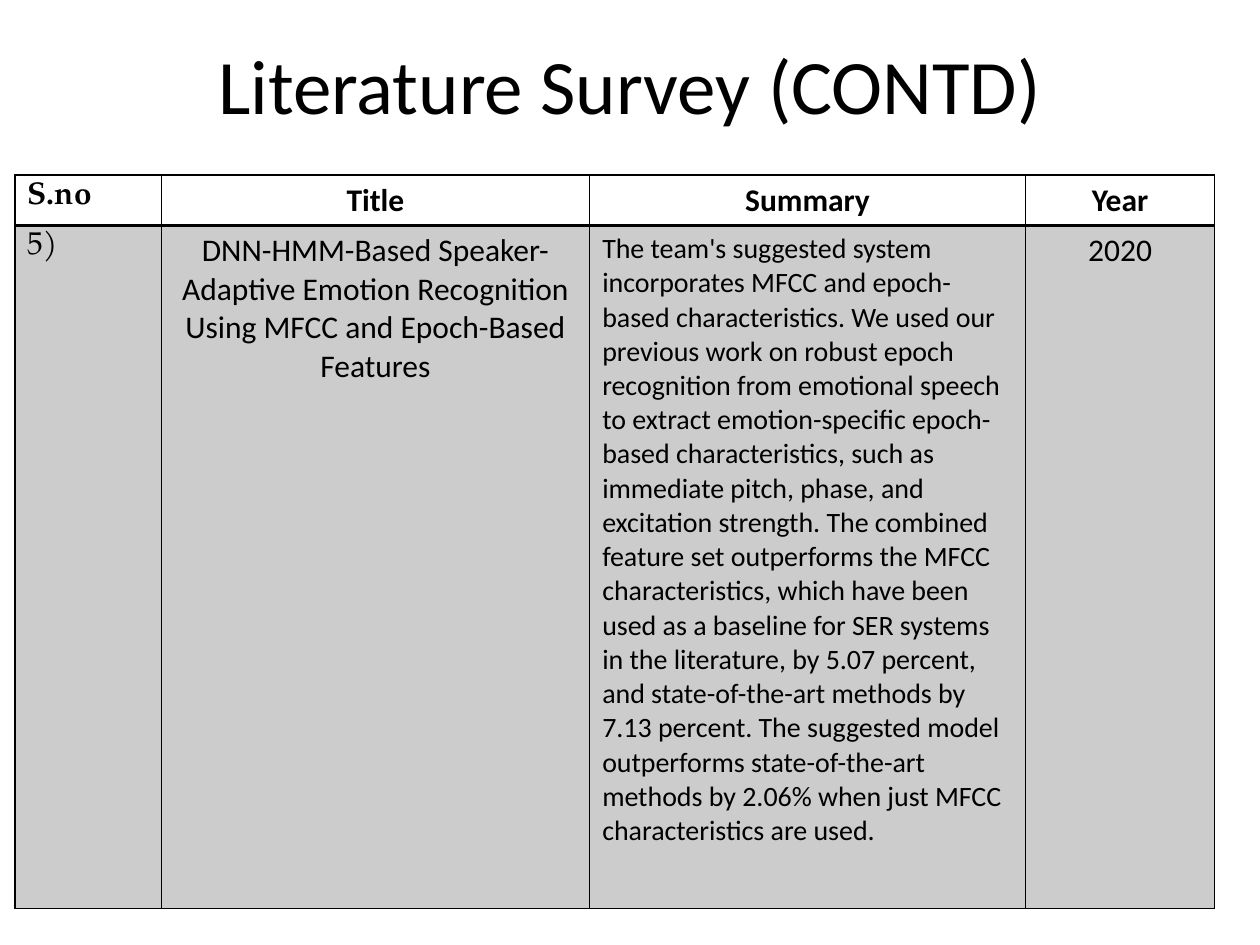
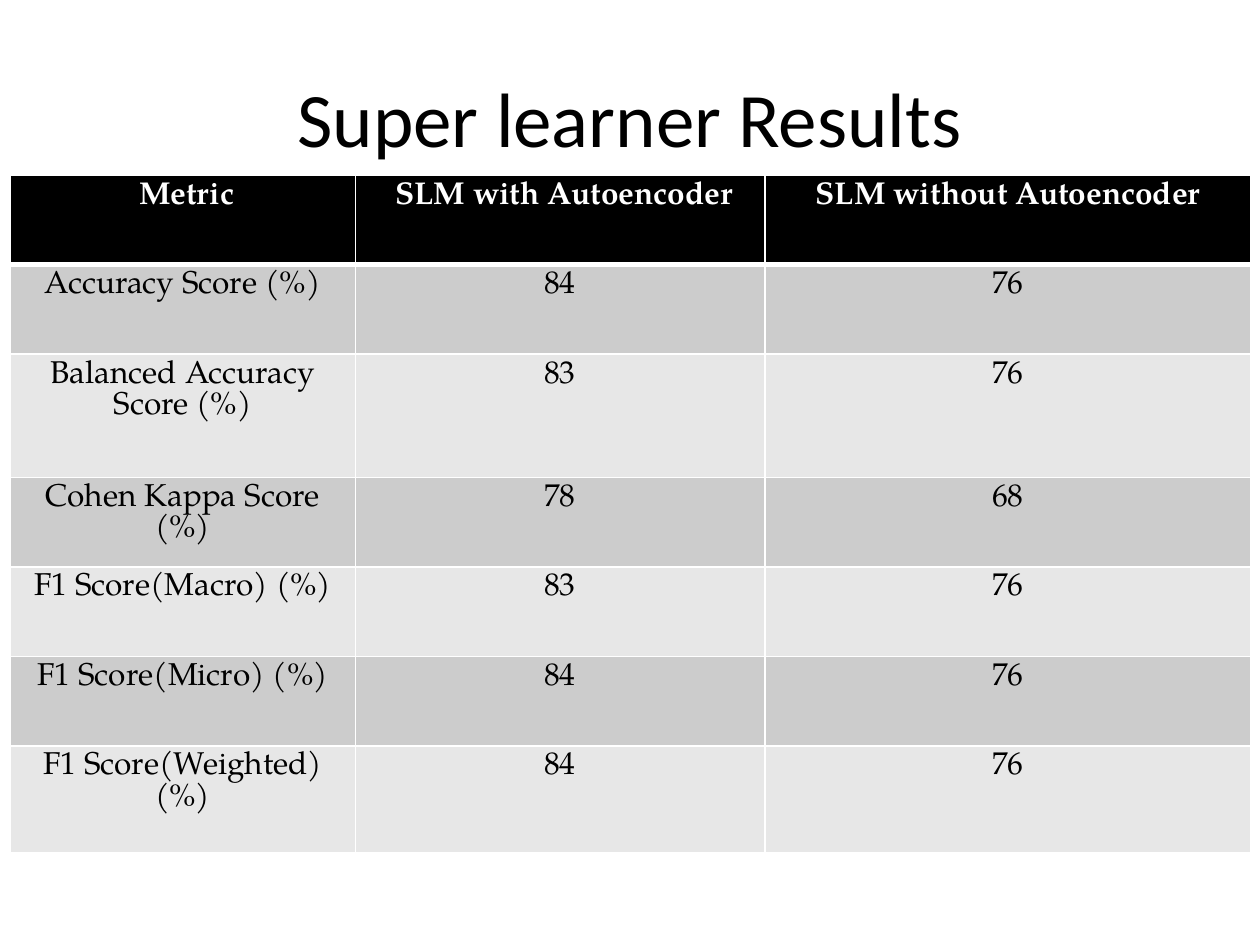
from dataclasses import dataclass

from lxml import etree
from pptx import Presentation
from pptx import util as u
from pptx.dml.color import RGBColor
from pptx.enum import text
from pptx.oxml import ns


@dataclass(frozen=True)
class Theme:
    black: str = "000000"
    white: str = "FFFFFF"
    dark_band: str = "CCCCCC"
    light_band: str = "E7E7E7"
    sans: str = "Calibri"
    serif: str = "TeX Gyre Pagella"
    title_size: int = 44
    body_size: int = 18
    small_size: int = 16
    serif_leading: int = 18
    thin: int = 1


class SlideBuilder:
    """Holds the deck, its theme and the slide being filled."""

    def __init__(self, theme):
        self.theme = theme
        self.deck = Presentation()
        self.deck.slide_width = u.Inches(10)
        self.deck.slide_height = u.Inches(7.5)
        self.page = None

    def start_slide(self, title, title_top):
        self.page = self.deck.slides.add_slide(self.deck.slide_layouts[6])
        box = self.page.shapes.add_textbox(
            u.Inches(0.5), u.Inches(title_top), u.Inches(9), u.Inches(1.25))
        frame = box.text_frame
        frame.word_wrap = True
        frame.vertical_anchor = text.MSO_ANCHOR.MIDDLE
        self.add_text(frame, title, size=self.theme.title_size)

    def add_text(self, frame, words, font=None, size=None, color=None,
                 bold=False, centered=True):
        font = font or self.theme.sans
        para = frame.paragraphs[0]
        para.alignment = text.PP_ALIGN.CENTER if centered else text.PP_ALIGN.LEFT
        if font == self.theme.serif:
            para.line_spacing = u.Pt(self.theme.serif_leading)
        span = para.add_run()
        span.text = words
        font_values = {"name": font, "bold": bold,
                       "size": u.Pt(size or self.theme.body_size)}
        for name, value in font_values.items():
            setattr(span.font, name, value)
        span.font.color.rgb = RGBColor.from_string(color or self.theme.black)

    def add_table(self, left, top, widths, heights):
        table = self.page.shapes.add_table(
            len(heights), len(widths), u.Inches(left), u.Inches(top),
            u.Inches(sum(widths)), u.Inches(sum(heights))).table
        for flag in ("first_row", "horz_banding"):
            setattr(table, flag, False)
        for column, width in zip(table.columns, widths):
            column.width = u.Inches(width)
        for row, height in zip(table.rows, heights):
            row.height = u.Inches(height)
        return table

    def add_borders(self, cell, color, widths):
        """Draw the cell's sides; widths are in points, keyed L, R, T, B."""
        properties = cell._tc.get_or_add_tcPr()
        for side, width in widths.items():
            line = etree.SubElement(properties, ns.qn(f"a:ln{side}"), w=str(u.Pt(width)))
            fill = etree.SubElement(line, ns.qn("a:solidFill"))
            etree.SubElement(fill, ns.qn("a:srgbClr"), val=color)

    def style_table(self, table, line_color, header_line, header_fill, bands):
        """Rule and fill the grid, with a heavier line below the header."""
        for index, row in enumerate(table.rows):
            widths = dict.fromkeys("LRTB", self.theme.thin)
            if index < 2:
                widths["B" if index == 0 else "T"] = header_line
            if index == 0:
                color = header_fill
            else:
                color = bands[(index - 1) % len(bands)]
            for cell in row.cells:
                self.add_borders(cell, line_color, widths)
                cell.fill.solid()
                cell.fill.fore_color.rgb = RGBColor.from_string(color)


def build_survey(builder):
    theme = builder.theme
    builder.start_slide("Literature Survey (CONTD)", 0.04)
    table = builder.add_table(0.12, 1.39, [1.16, 3.4, 3.46, 1.5], [0.4, 5.42])
    builder.style_table(table, theme.black, 2, theme.white, [theme.dark_band])

    # Header and the surveyed paper
    serif_left = {"font": theme.serif, "centered": False}
    summary = (
        "The team's suggested system incorporates MFCC and epoch-based "
        "characteristics. We used our previous work on robust epoch recognition "
        "from emotional speech to extract emotion-specific epoch-based "
        "characteristics, such as immediate pitch, phase, and excitation strength. "
        "The combined feature set outperforms the MFCC characteristics, which have "
        "been used as a baseline for SER systems in the literature, by 5.07 percent, "
        "and state-of-the-art methods by 7.13 percent. The suggested model "
        "outperforms state-of-the-art methods by 2.06% when just MFCC "
        "characteristics are used.")
    columns = [
        ("S.no", "5)", serif_left, serif_left),
        ("Title", "DNN-HMM-Based Speaker-Adaptive Emotion Recognition "
                  "Using MFCC and Epoch-Based Features", {}, {}),
        ("Summary", summary, {}, {"size": theme.small_size, "centered": False}),
        ("Year", "2020", {}, {}),
    ]
    for index, (heading, entry, heading_style, entry_style) in enumerate(columns):
        builder.add_text(table.cell(0, index).text_frame, heading, bold=True,
                         **heading_style)
        builder.add_text(table.cell(1, index).text_frame, entry, **entry_style)


def build_results(builder):
    theme = builder.theme
    builder.start_slide("Super learner Results", 0.3)
    heights = [0.71, 0.71, 0.98] + [0.71] * 3 + [0.85]
    table = builder.add_table(0.08, 1.39, [2.74, 3.25, 3.86], heights)
    builder.style_table(table, theme.white, 3, theme.black,
                        [theme.dark_band, theme.light_band])

    # Scores by metric
    scores = [
        (" Metric", " SLM with Autoencoder", "SLM without Autoencoder"),
        ("Accuracy Score (%)", "84", "76"),
        ("Balanced Accuracy Score (%)", "83", "76"),
        ("Cohen Kappa Score (%)", "78", "68"),
        ("F1 Score(Macro) (%)", "83", "76"),
        ("F1 Score(Micro) (%)", "84", "76"),
        ("F1 Score(Weighted) (%)", "84", "76"),
    ]
    for index, (row, entries) in enumerate(zip(table.rows, scores)):
        is_header = index == 0
        for cell, words in zip(row.cells, entries):
            builder.add_text(cell.text_frame, words, font=theme.serif, bold=is_header,
                             color=theme.white if is_header else theme.black)


def main():
    builder = SlideBuilder(Theme())
    build_survey(builder)
    build_results(builder)
    builder.deck.save("out.pptx")


if __name__ == "__main__":
    main()
